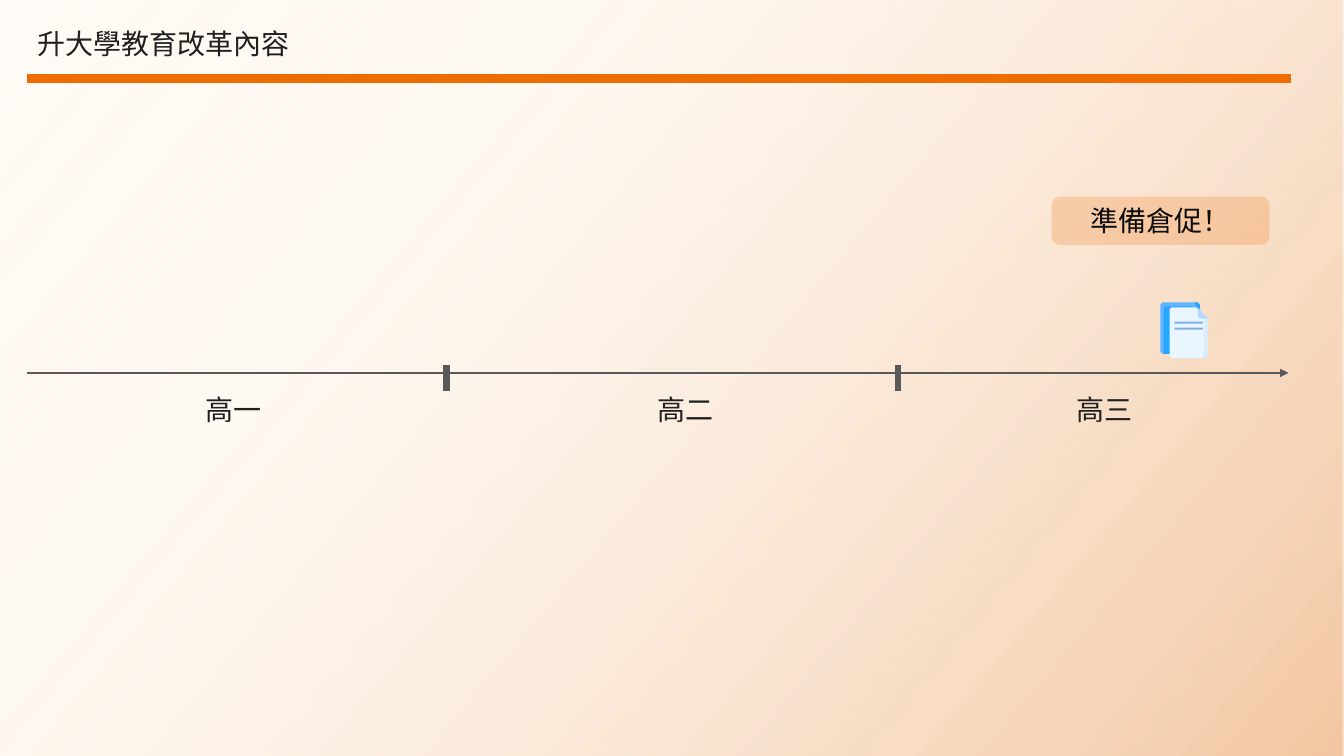
import lxml.etree
import pptx
import pptx.dml.color
import pptx.enum.shapes
import pptx.enum.text
import pptx.oxml.ns
import pptx.util

RGB = pptx.dml.color.RGBColor
SHAPES = pptx.enum.shapes.MSO_SHAPE
ALIGN = pptx.enum.text.PP_ALIGN
qn = pptx.oxml.ns.qn

ORANGE = RGB(0xEF, 0x6C, 0x00)
AMBER = RGB(0xFF, 0xB4, 0x44)
PEACH = RGB(0xFB, 0xD9, 0xAF)
RUST = RGB(0xDE, 0x64, 0x00)
GRAY = RGB(0x59, 0x59, 0x59)
INK = RGB(0x20, 0x20, 0x20)
BLACK = RGB(0x0D, 0x0D, 0x0D)
SKY = RGB(0x60, 0xB7, 0xFF)
BLUE = RGB(0x26, 0xA6, 0xFE)
PAPER = RGB(0xEA, 0xF6, 0xFF)
EDGE = RGB(0xD8, 0xEC, 0xFE)
FOLD = RGB(0xB3, 0xDA, 0xFE)
RULE = RGB(0x82, 0xAE, 0xE3)


def add_child(parent, tag, **attributes):
    return lxml.etree.SubElement(parent, qn(tag), attributes)


class TimelineSlide:
    """Draws the elements of one slide in a shared style, at 100 px to the inch."""

    FONT = "Noto Sans CJK TC"
    SIZE = pptx.util.Pt(20)
    SCALE = 9144

    def __init__(self, deck, width, height):
        deck.slide_width, deck.slide_height = self.emu(width, height)
        self.page = deck.slides.add_slide(deck.slide_layouts[6])

    def emu(self, *lengths):
        return [pptx.util.Emu(length * self.SCALE) for length in lengths]

    def add_text(self, box, text, color, align):
        frame = box.text_frame
        frame.word_wrap = True
        frame.vertical_anchor = pptx.enum.text.MSO_ANCHOR.MIDDLE
        para = frame.paragraphs[0]
        para.alignment = align
        span = para.add_run()
        span.text = text
        span.font.size = self.SIZE
        span.font.name = self.FONT
        span.font.color.rgb = color
        add_child(span.font._element, "a:ea", typeface=self.FONT)
        return para

    def label(self, text, left, top, width, height):
        box = self.page.shapes.add_textbox(*self.emu(left, top, width, height))
        self.add_text(box, text, INK, ALIGN.LEFT).line_spacing = 0.9

    def paint(self, shape, color):
        shape.shadow.inherit = False
        shape.fill.solid()
        shape.fill.fore_color.rgb = color
        shape.line.fill.background()
        return shape

    def shape(self, kind, left, top, width, height, color):
        size = self.emu(left, top, width, height)
        return self.paint(self.page.shapes.add_shape(kind, *size), color)

    def callout(self, text, left, top, width, height, color, opacity):
        box = self.shape(SHAPES.ROUNDED_RECTANGLE, left, top, width, height, color)
        fill = box._element.spPr.find(qn("a:solidFill"))
        add_child(fill[0], "a:alpha", val=str(opacity * 1000))
        self.add_text(box, text, BLACK, ALIGN.CENTER)

    def backdrop(self, width, height, stops, angle):
        shape = self.shape(SHAPES.RECTANGLE, 0, 0, width, height, PEACH)
        shape.fill.gradient()
        shape.fill.gradient_angle = 360 - angle
        stop_list = shape._element.spPr.find(qn("a:gradFill")).find(qn("a:gsLst"))
        stop_list.clear()
        for position, color, opacity in stops:
            stop = add_child(stop_list, "a:gs", pos=str(position * 1000))
            tint = add_child(stop, "a:srgbClr", val=str(color))
            add_child(tint, "a:alpha", val=str(opacity * 1000))

    def line(self, start, end, color, weight, arrow=False):
        line = self.page.shapes.add_connector(
            pptx.enum.shapes.MSO_CONNECTOR.STRAIGHT, *self.emu(*start, *end))
        line.line.color.rgb = color
        line.line.width = pptx.util.Pt(weight)
        if arrow:
            add_child(line._element.spPr.find(qn("a:ln")), "a:tailEnd", type="triangle")
        add_child(line._element.spPr, "a:effectLst")

    def outline(self, points, color):
        builder = self.page.shapes.build_freeform(*points[0], scale=self.SCALE)
        builder.add_line_segments(points[1:], close=True)
        self.paint(builder.convert_to_shape(), color)

    def book(self):
        self.outline([(1153, 300), (1188, 300), (1188, 350), (1185, 351),
                      (1153, 351), (1151, 349), (1151, 302)], SKY)
        self.outline([(1184, 300), (1188, 300), (1190, 302), (1190, 349),
                      (1188, 351), (1184, 351), (1186, 349), (1186, 302)], BLUE)
        self.outline([(1156, 304), (1181, 304), (1190, 312), (1190, 349),
                      (1188, 351), (1154, 351), (1154, 306)], BLUE)

    def sheet(self):
        self.outline([(1162, 305), (1187, 305), (1191, 312), (1195, 314),
                      (1195, 355), (1162, 355), (1160, 353), (1160, 307)], PAPER)
        self.outline([(1194, 313), (1198, 316), (1198, 353), (1196, 355),
                      (1192, 355), (1194, 353)], EDGE)
        self.outline([(1188, 305), (1198, 316), (1190, 316), (1188, 314)], FOLD)
        for top in (319, 325):
            self.shape(SHAPES.ROUNDED_RECTANGLE, 1165, top, 28, 2, RULE)


def main():
    deck = pptx.Presentation()
    slide = TimelineSlide(deck, 1333, 750)
    slide.backdrop(1333, 750, [(0, AMBER, 3), (29, PEACH, 15), (100, RUST, 36)], 40)
    slide.line((27, 78), (1280, 78), ORANGE, 6)
    slide.label("升大學教育改革內容", 27, 17, 365, 56)
    slide.line((27, 370), (1278, 370), GRAY, 1.5, arrow=True)
    for tick in (443, 891):
        slide.line((tick, 362), (tick, 388), GRAY, 4.5)
    for grade, left in (("高一", 194), ("高二", 642), ("高三", 1058)):
        slide.label(grade, left, 380, 82, 56)
    slide.book()
    slide.sheet()
    slide.callout("準備倉促！", 1043, 195, 216, 48, ORANGE, 21)
    deck.save("out.pptx")


if __name__ == "__main__":
    main()
